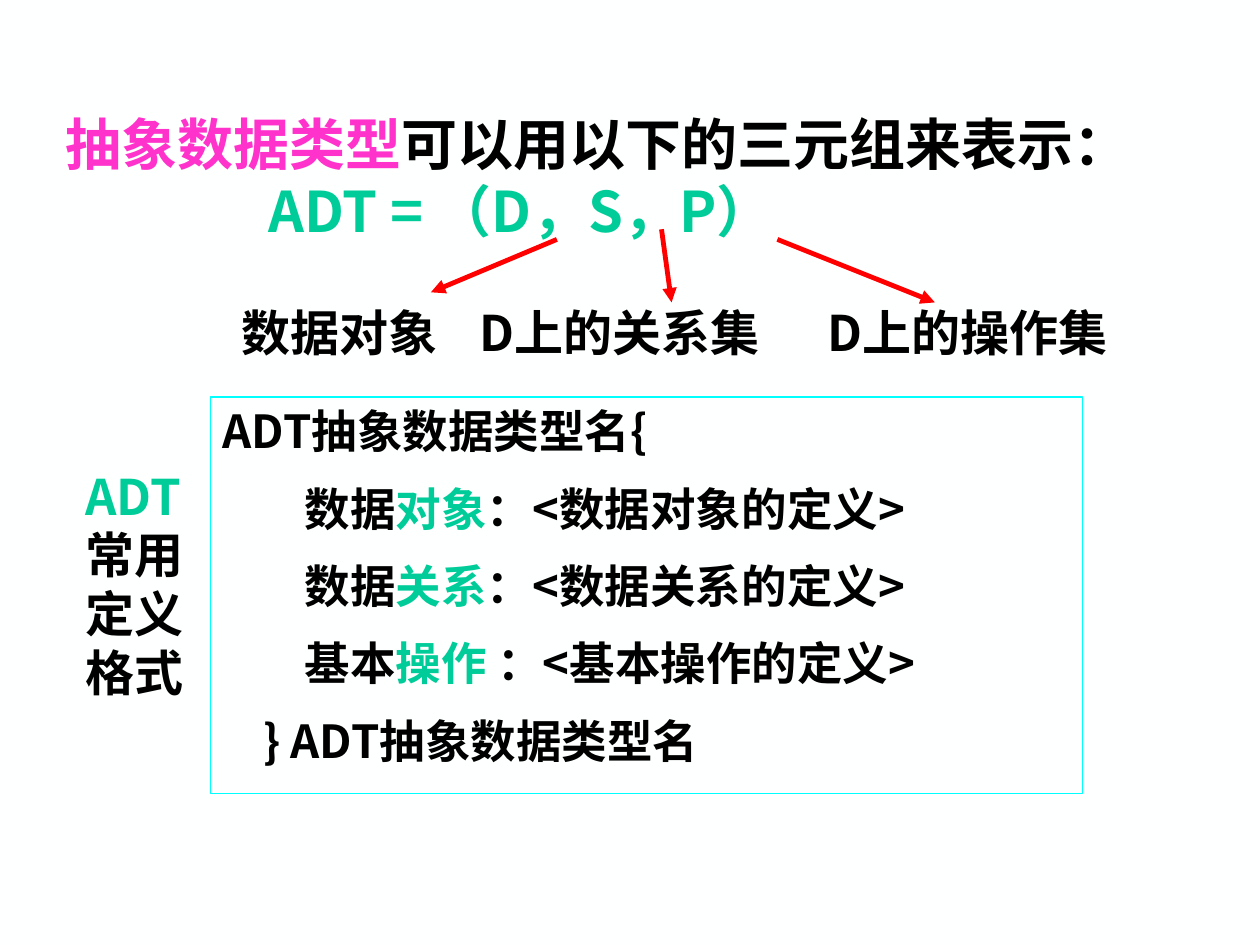
import pptx
import pptx.util
import pptx.dml.color
import pptx.enum.shapes
import pptx.enum.text
import pptx.oxml.ns
import lxml.etree

FONT = "Noto Sans CJK SC"
BLACK, GREEN, PINK = "000000", "00CC99", "FF33CC"
CYAN, RED, WHITE = "00FFFF", "FF0000", "FEFFFF"

TRIPLE = [
    dict(runs=[("抽象数据类型", PINK), ("可以用以下的三元组来表示：", BLACK)], size=32),
    dict(runs=[("ADT = （D，S，P）", GREEN)], size=32, indent=1.61),
]
LABEL_TOP, LABEL_HEIGHT = 2.35, 0.57
LABELS = [
    ("数据对象", 1.82, 1.8),
    ("D上的关系集", 3.71, 2.6),
    ("D上的操作集", 6.47, 2.6),
]
FIELDS = [
    ("数据", "对象", "：<数据对象的定义>"),
    ("数据", "关系", "：<数据关系的定义>"),
    ("基本", "操作", " ：<基本操作的定义>"),
]
DEFINITION = [
    dict(runs=[("ADT抽象数据类型名{", BLACK)], size=26),
    *[dict(runs=list(zip(field, (BLACK, GREEN, BLACK))), size=26, indent=0.65, before=13)
      for field in FIELDS],
    dict(runs=[("} ADT抽象数据类型名", BLACK)], size=26, indent=0.32, before=13),
]
CAPTION = [dict(runs=[("ADT", GREEN), ("常用定义格式", BLACK)], size=28)]
ARROWS = [
    (4.42, 1.9, 3.42, 2.32),
    (5.25, 1.82, 5.33, 2.4),
    (6.17, 1.9, 7.42, 2.4),
]


def rgb(value):
    return pptx.dml.color.RGBColor.from_string(value)


def inches(*values):
    return [pptx.util.Inches(v) for v in values]


def add(parent, tag, **attrs):
    return lxml.etree.SubElement(parent, pptx.oxml.ns.qn(tag), attrs)


def write(p, runs, size, indent=0, before=0):
    pPr = p._p.get_or_add_pPr()
    pPr.set("marL", str(pptx.util.Inches(indent)))
    pPr.set("indent", "0")
    p.alignment = pptx.enum.text.PP_ALIGN.LEFT
    p.line_spacing = pptx.util.Pt(round(size * 1.2, 1))
    p.space_before = pptx.util.Pt(before)
    for text, color in runs:
        r = p.add_run()
        r.text = text
        r.font.size = pptx.util.Pt(size)
        r.font.bold = True
        r.font.name = FONT
        r.font.color.rgb = rgb(color)
        add(r._r.get_or_add_rPr(), "a:ea", typeface=FONT)


def fill_text(sp, paragraphs):
    tf = sp.text_frame
    tf.word_wrap = True
    tf.vertical_anchor = pptx.enum.text.MSO_ANCHOR.TOP
    for i, paragraph in enumerate(paragraphs):
        write(tf.add_paragraph() if i else tf.paragraphs[0], **paragraph)


def add_text(s, at, paragraphs):
    fill_text(s.shapes.add_textbox(*inches(*at)), paragraphs)


def add_arrow(s, ends):
    line = s.shapes.add_connector(pptx.enum.shapes.MSO_CONNECTOR.STRAIGHT, *inches(*ends))
    line.line.color.rgb = rgb(RED)
    line.line.width = pptx.util.Pt(2.75)
    add(line.line._get_or_add_ln(), "a:tailEnd", type="triangle")
    add(line._element.spPr, "a:effectLst")


def main():
    prs = pptx.Presentation()
    prs.slide_width, prs.slide_height = inches(10, 7.5)
    s = prs.slides.add_slide(prs.slide_layouts[6])
    s.background.fill.solid()
    s.background.fill.fore_color.rgb = rgb(WHITE)

    add_text(s, (0.42, 0.82, 9.17, 1.2), TRIPLE)
    for text, left, width in LABELS:
        add_text(s, (left, LABEL_TOP, width, LABEL_HEIGHT),
                 [dict(runs=[(text, BLACK)], size=28)])

    box = s.shapes.add_shape(pptx.enum.shapes.MSO_SHAPE.RECTANGLE,
                             *inches(1.67, 3.15, 6.92, 3.15))
    box.shadow.inherit = False
    box.fill.background()
    box.line.color.rgb = rgb(CYAN)
    box.line.width = pptx.util.Pt(0.75)
    fill_text(box, DEFINITION)

    add_text(s, (0.58, 3.65, 1.08, 1.97), CAPTION)

    for ends in ARROWS:
        add_arrow(s, ends)
    prs.save("out.pptx")


if __name__ == "__main__":
    main()
